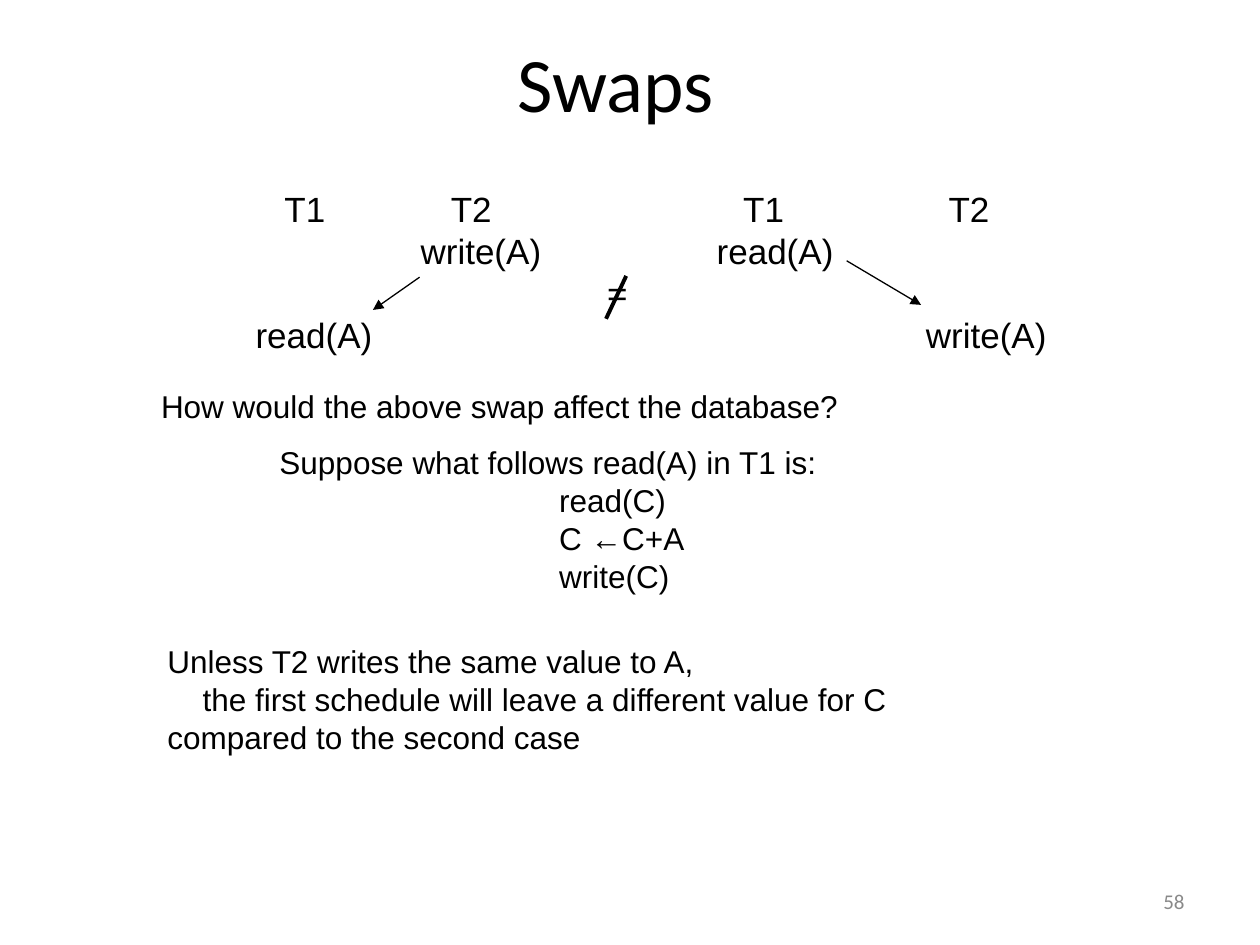
from dataclasses import dataclass

from pptx import Presentation
from pptx.dml.color import RGBColor
from pptx.enum.shapes import MSO_CONNECTOR as Connector
from pptx.enum.text import MSO_ANCHOR as Anchor, PP_ALIGN as Align
from pptx.oxml.ns import qn
from pptx.util import Inches, Pt
from lxml.etree import SubElement


@dataclass(frozen=True)
class Theme:
    ink: RGBColor = RGBColor(0, 0, 0)
    muted: RGBColor = RGBColor(0x89, 0x89, 0x89)
    body_font: str = "Arial"
    heading_font: str = "Calibri"
    title_size: int = 44
    schedule_size: int = 20
    body_size: int = 18
    number_size: int = 12


THEME = Theme()


def set_values(target, values):
    for name, value in values.items():
        setattr(target, name, value)


def add_tabs(paragraph, stops):
    tab_list = SubElement(paragraph._p.get_or_add_pPr(), qn("a:tabLst"))
    for stop in stops:
        SubElement(tab_list, qn("a:tab"), pos=str(Inches(stop)), algn="l")


def add_text(slide, box, lines, size=THEME.body_size, font=THEME.body_font,
             color=THEME.ink, align=Align.LEFT, anchor=Anchor.TOP):
    frame = slide.shapes.add_textbox(*map(Inches, box)).text_frame
    set_values(frame, {
        "word_wrap": True, "vertical_anchor": anchor,
        "margin_left": Inches(0.1), "margin_right": Inches(0.1),
        "margin_top": Inches(0.05), "margin_bottom": Inches(0.05),
    })
    for index, line in enumerate(lines):
        paragraph = frame.add_paragraph() if index else frame.paragraphs[0]
        set_values(paragraph, {"text": line, "alignment": align})
        for run in paragraph.runs:
            set_values(run.font, {"name": font, "size": Pt(size)})
            run.font.color.rgb = color
    return frame


def add_schedules(slide):
    rows = [
        {1.15: "T1", 2.47: "T2", 4.79: "T1", 6.42: "T2"},
        {2.23: "write(A)", 4.58: "read(A)"},
        {3.71: "="},
        {0.92: "read(A)", 6.24: "write(A)"},
    ]
    lines = ["".join("\t" + label for label in row.values()) for row in rows]
    frame = add_text(slide, (1.01, 1.44, 7.5, 1.77), lines, THEME.schedule_size)
    for paragraph, row in zip(frame.paragraphs, rows):
        add_tabs(paragraph, row)


def add_line(slide, start, end, width=0.75, arrow=True):
    line = slide.shapes.add_connector(Connector.STRAIGHT, *map(Inches, start + end))
    line.line.color.rgb = THEME.ink
    line.line.width = Pt(width)
    if arrow:
        SubElement(line.line._get_or_add_ln(), qn("a:tailEnd"), type="triangle")
    SubElement(line._element.spPr, qn("a:effectLst"))


def indent_paragraphs(paragraphs, attribute, distance):
    for paragraph in paragraphs:
        paragraph._p.get_or_add_pPr().set(attribute, str(Inches(distance)))


def main():
    presentation = Presentation()
    set_values(presentation, {"slide_width": Inches(10), "slide_height": Inches(7.5)})
    slide = presentation.slides.add_slide(presentation.slide_layouts[6])

    add_text(slide, (0.47, 0.21, 8.83, 0.88), ["Swaps"], THEME.title_size,
             THEME.heading_font, align=Align.CENTER, anchor=Anchor.MIDDLE)
    add_schedules(slide)
    add_line(slide, (4.97, 2.19), (4.81, 2.53), width=2.25, arrow=False)
    add_line(slide, (3.33, 2.2), (2.96, 2.46))
    add_line(slide, (6.72, 2.07), (7.31, 2.42))

    add_text(slide, (1.18, 3.02, 5.7, 0.4),
             ["How would the above swap affect the database?"])
    steps = add_text(slide, (2.12, 3.47, 4.6, 1.3), [
        "Suppose what follows read(A) in T1 is:", "read(C)", "C ←C+A", "write(C)"])
    indent_paragraphs(steps.paragraphs[1:], "marL", 2.22)
    conclusion = add_text(slide, (1.23, 5.05, 6.02, 1), [
        "Unless T2 writes the same value to A,",
        "the first schedule will leave a different value for C "
        "compared to the second case"])
    indent_paragraphs(conclusion.paragraphs[1:], "indent", 0.28)

    add_text(slide, (7.17, 6.95, 2.33, 0.4), ["58"], THEME.number_size,
             THEME.heading_font, THEME.muted, Align.RIGHT, Anchor.MIDDLE)
    presentation.save("out.pptx")


if __name__ == "__main__":
    main()
